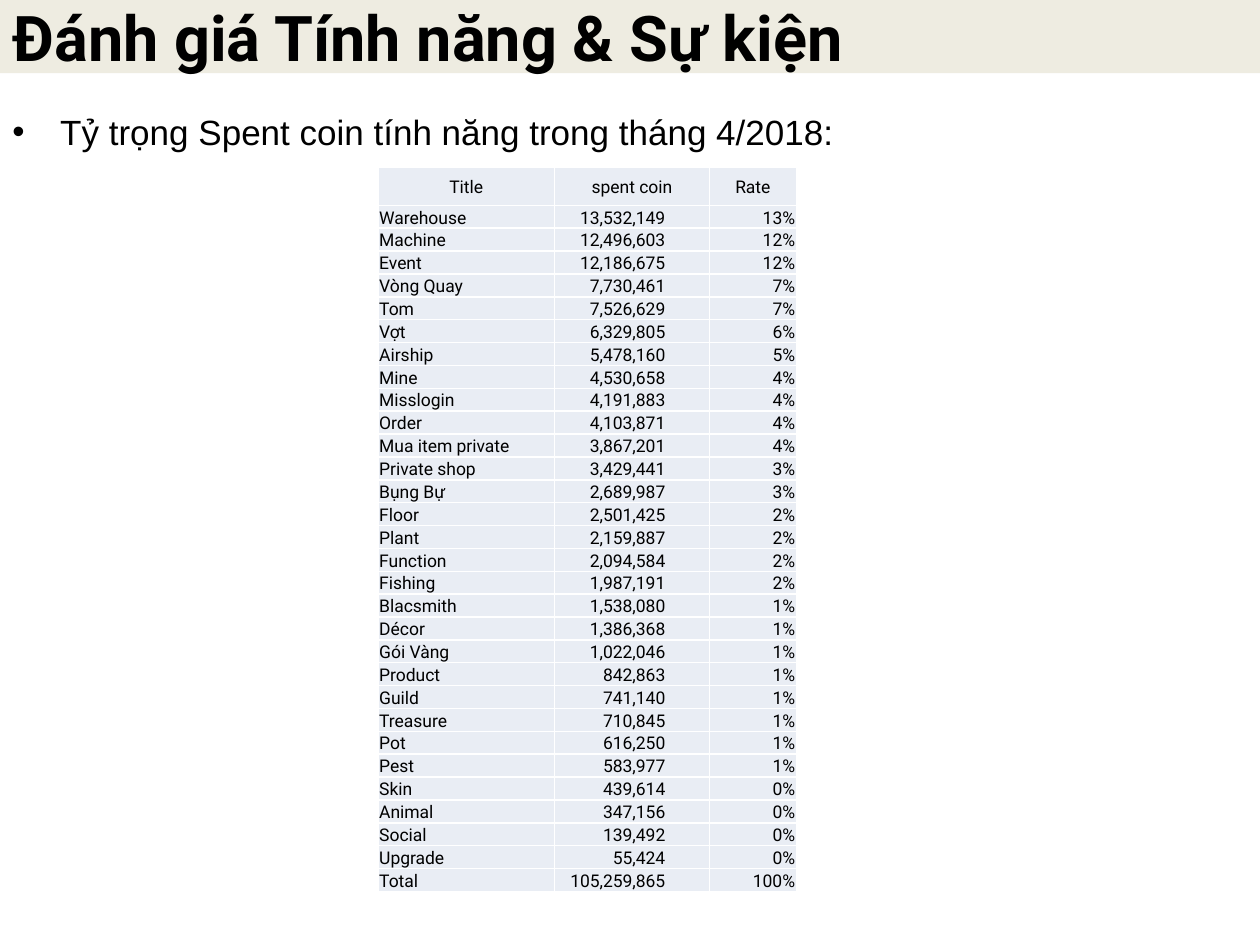
import pptx
import pptx.util
import pptx.dml.color
import pptx.enum.shapes
import pptx.enum.text
import pptx.oxml
import pptx.oxml.ns
import lxml.etree

Inches, Pt = pptx.util.Inches, pptx.util.Pt
ALIGN = pptx.enum.text.PP_ALIGN
ANCHOR = pptx.enum.text.MSO_ANCHOR
qn = pptx.oxml.ns.qn

COLORS = {"band": "EEECE1", "cell": "E9EDF4", "border": "FFFFFF", "text": "000000"}
TITLE = "Đánh giá Tính năng & Sự kiện"
BULLET = "Tỷ trọng Spent coin tính năng trong tháng 4/2018:"
HEADER = ("Title", "spent coin", "Rate")
ROWS = [
    ("Warehouse", 13532149, 13),
    ("Machine", 12496603, 12),
    ("Event", 12186675, 12),
    ("Vòng Quay", 7730461, 7),
    ("Tom", 7526629, 7),
    ("Vợt", 6329805, 6),
    ("Airship", 5478160, 5),
    ("Mine", 4530658, 4),
    ("Misslogin", 4191883, 4),
    ("Order", 4103871, 4),
    ("Mua item private", 3867201, 4),
    ("Private shop", 3429441, 3),
    ("Bụng Bự", 2689987, 3),
    ("Floor", 2501425, 2),
    ("Plant", 2159887, 2),
    ("Function", 2094584, 2),
    ("Fishing", 1987191, 2),
    ("Blacsmith", 1538080, 1),
    ("Décor", 1386368, 1),
    ("Gói Vàng", 1022046, 1),
    ("Product", 842863, 1),
    ("Guild", 741140, 1),
    ("Treasure", 710845, 1),
    ("Pot", 616250, 1),
    ("Pest", 583977, 1),
    ("Skin", 439614, 0),
    ("Animal", 347156, 0),
    ("Social", 139492, 0),
    ("Upgrade", 55424, 0),
    ("Total", 105259865, 100),
]
COL_WIDTHS = (1.4, 1.23, 0.69)
COL_ALIGNS = (ALIGN.LEFT, ALIGN.RIGHT, ALIGN.RIGHT)
COL_RIGHT_MARGINS = (0.01, 0.35, 0.01)
TABLE_HEIGHT, HEADER_HEIGHT = 5.75, 0.3


def rgb(name):
    return pptx.dml.color.RGBColor.from_string(COLORS[name])


def write(tf, text, size=10, font="Roboto", bold=False, align=ALIGN.LEFT):
    p = tf.paragraphs[0]
    p.alignment = align
    r = p.add_run()
    r.text = text
    r.font.size, r.font.name, r.font.bold = Pt(size), font, bold
    r.font.color.rgb = rgb("text")
    return p


def add_borders(cell):
    tc_pr = cell._tc.get_or_add_tcPr()
    for i, side in enumerate(("lnL", "lnR", "lnT", "lnB")):
        ln = lxml.etree.Element(qn("a:" + side), w=str(Pt(1)))
        fill = lxml.etree.SubElement(ln, qn("a:solidFill"))
        lxml.etree.SubElement(fill, qn("a:srgbClr"), val=COLORS["border"])
        tc_pr.insert(i, ln)


def add_title(slide):
    sp = slide.shapes.add_shape(pptx.enum.shapes.MSO_SHAPE.RECTANGLE,
                                0, 0, Inches(10), Inches(0.58))
    sp.shadow.inherit = False
    sp.fill.solid()
    sp.fill.fore_color.rgb = rgb("band")
    sp.line.fill.background()
    tf = sp.text_frame
    tf.word_wrap = True
    tf.vertical_anchor = ANCHOR.MIDDLE
    write(tf, TITLE, size=36, bold=True)


def add_bullet(slide):
    tf = slide.shapes.add_textbox(0, Inches(0.83), Inches(10), Inches(6.25)).text_frame
    tf.word_wrap = True
    p = write(tf, BULLET, size=20, font="Arial")
    p.space_before = Pt(3)
    p_pr = p._p.get_or_add_pPr()
    p_pr.set("marL", str(Inches(0.38)))
    p_pr.set("indent", str(-Inches(0.38)))
    lxml.etree.SubElement(p_pr, qn("a:buFont"), typeface="Arial")
    lxml.etree.SubElement(p_pr, qn("a:buChar"), char="•")


def add_spending_table(slide):
    records = [HEADER] + [(name, f"{coins:,}", f"{rate}%") for name, coins, rate in ROWS]
    table = slide.shapes.add_table(len(records), len(HEADER), Inches(3), Inches(1.33),
                                   Inches(sum(COL_WIDTHS)), Inches(TABLE_HEIGHT)).table
    for col, width in zip(table.columns, COL_WIDTHS):
        col.width = Inches(width)
    row_height = (TABLE_HEIGHT - HEADER_HEIGHT) / len(ROWS)
    for i, record in enumerate(records):
        is_header = i == 0
        table.rows[i].height = Inches(HEADER_HEIGHT if is_header else row_height)
        for j, text in enumerate(record):
            cell = table.cell(i, j)
            cell.margin_left = cell.margin_top = Inches(0.01)
            cell.margin_right = Inches(0.01 if is_header else COL_RIGHT_MARGINS[j])
            cell.margin_bottom = 0
            cell.vertical_anchor = ANCHOR.MIDDLE if is_header else ANCHOR.BOTTOM
            cell.fill.solid()
            cell.fill.fore_color.rgb = rgb("cell")
            add_borders(cell)
            write(cell.text_frame, text, align=ALIGN.CENTER if is_header else COL_ALIGNS[j])


def main():
    prs = pptx.Presentation()
    prs.slide_width, prs.slide_height = Inches(10), Inches(7.5)
    slide = prs.slides.add_slide(prs.slide_layouts[6])
    add_title(slide)
    add_bullet(slide)
    add_spending_table(slide)
    prs.save("out.pptx")


if __name__ == "__main__":
    main()
